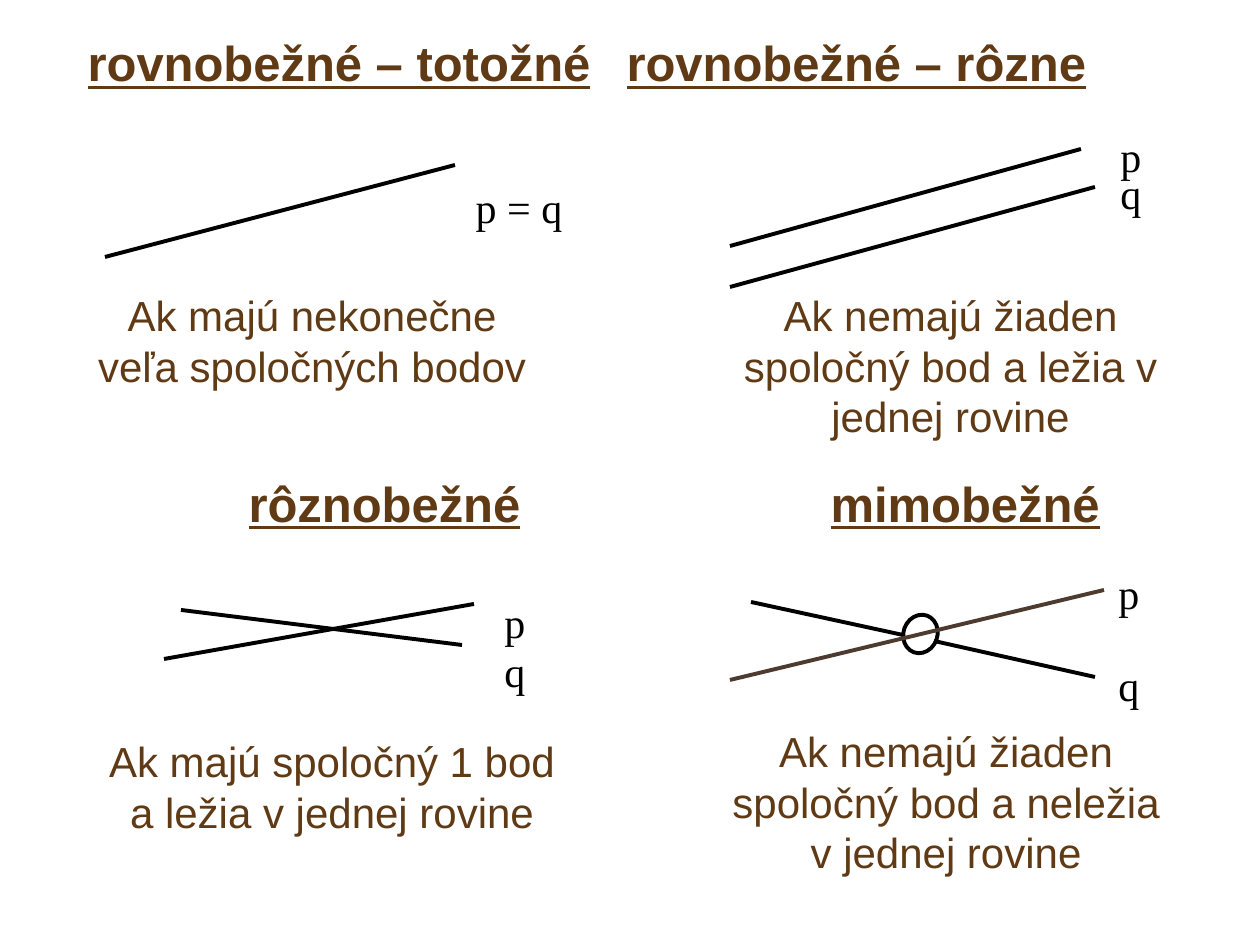
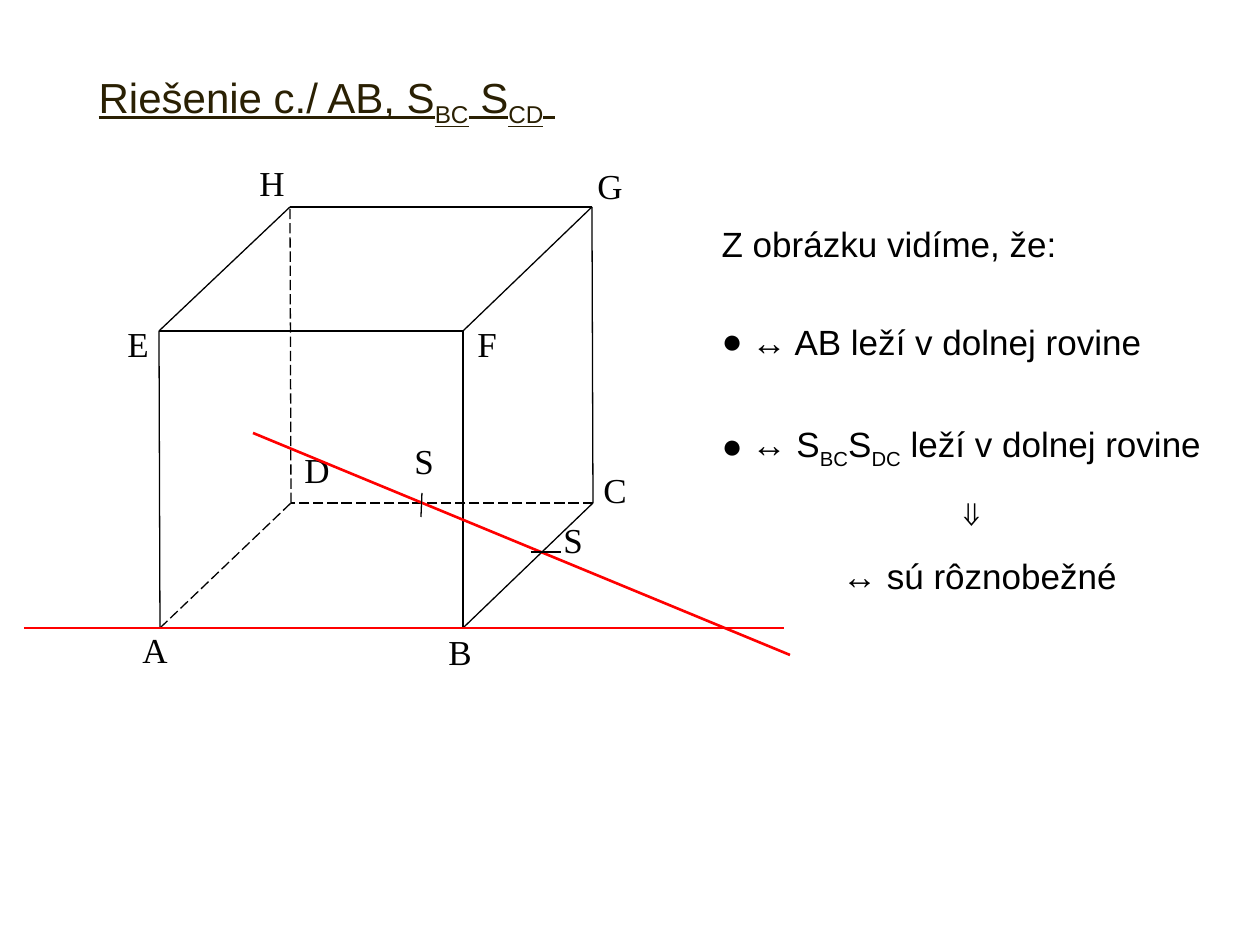
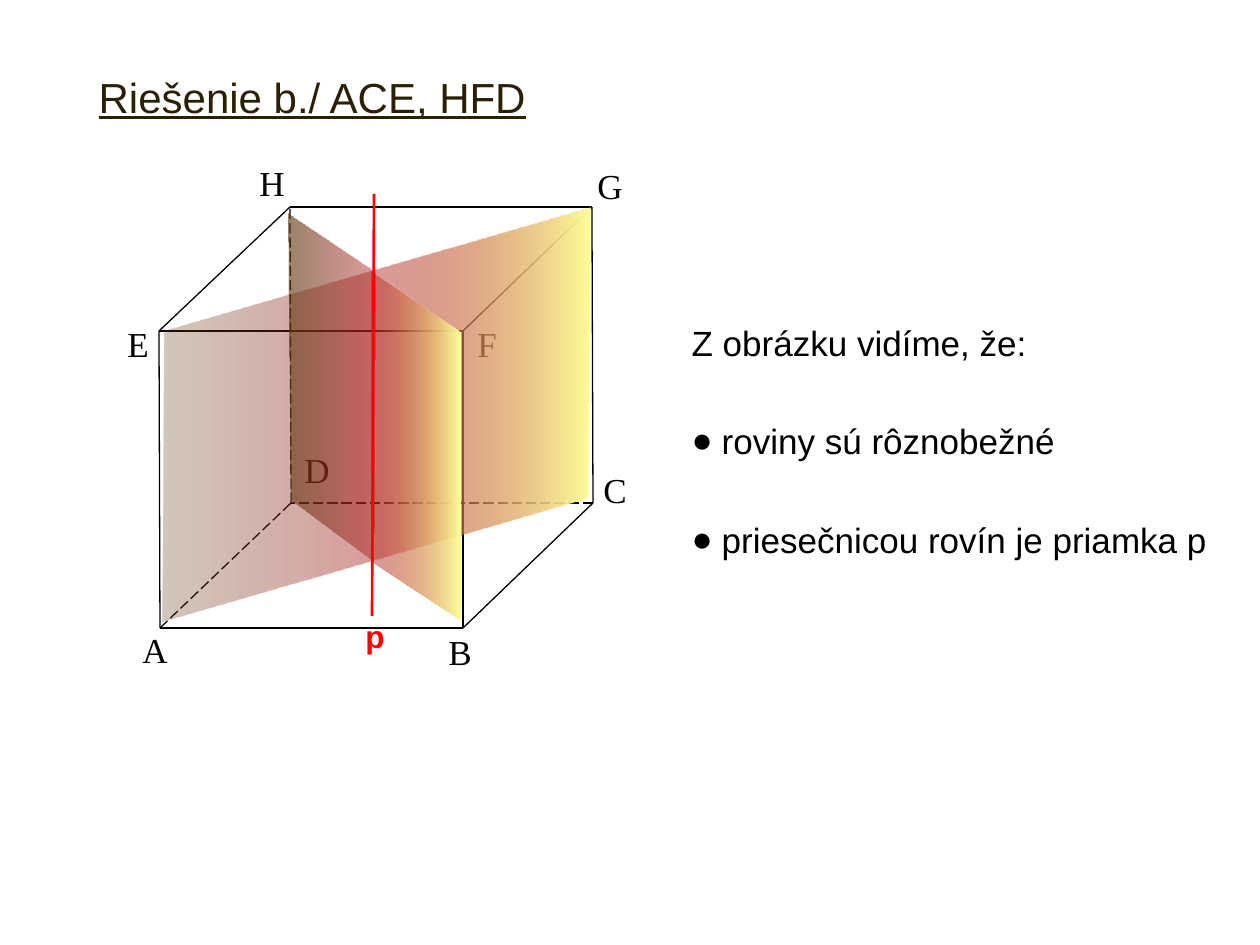
from lxml import etree
from pptx import Presentation
from pptx.dml.color import RGBColor
from pptx.enum.dml import MSO_LINE
from pptx.enum.shapes import MSO_CONNECTOR, MSO_SHAPE as Shape
from pptx.enum.text import MSO_ANCHOR as Anchor, MSO_AUTO_SIZE as AutoSize, PP_ALIGN as Align
from pptx.oxml.ns import qn
from pptx.util import Emu, Pt

PX = 914400 / 126
SANS, SERIF = "Arial", "Times New Roman"
BLACK = RGBColor(0x00, 0x00, 0x00)
BROWN = RGBColor(0x60, 0x3A, 0x14)
DARK_BROWN = RGBColor(0x4E, 0x3B, 0x30)
TITLE_COLOR = RGBColor(0x2A, 0x20, 0x03)
RED = RGBColor(0xFF, 0x00, 0x00)
DARK_RED = RGBColor(0xAD, 0x1F, 0x1F)
YELLOW = RGBColor(0xFF, 0xFF, 0x99)

TOP_INSET = 6
BULLET_INDENT = 30
ONE_CONTENT, TWO_CONTENTS = 1, 3

# Cube corners and edges shared by both solutions
CORNERS = {"A": (160, 628), "B": (463, 628), "C": (593, 503), "D": (291, 503),
           "E": (159, 331), "F": (463, 331), "G": (592, 207), "H": (290, 207)}
SOLID_EDGES = ["AB", "BC", "AE", "BF", "CG", "EF", "FG", "GH", "EH"]
HIDDEN_EDGES = ["AD", "CD", "DH"]
CORNER_LABELS = {"A": (130, 622), "B": (436, 624), "C": (591, 462), "D": (292, 442),
                 "E": (115, 316), "F": (465, 316), "G": (585, 158), "H": (247, 155)}


def px(value):
    return Emu(round(value * PX))


def place(shape, x, y, width, height):
    shape.left, shape.top, shape.width, shape.height = map(px, (x, y, width, height))


def set_frame(shape):
    """Wrap the text, start it at the top and return its frame."""
    frame = shape.text_frame
    frame.word_wrap = True
    frame.auto_size = AutoSize.NONE
    frame.vertical_anchor = Anchor.TOP
    frame.margin_top = px(TOP_INSET)
    return frame


def add_run(para, text, size, color, font=SANS, bold=False, underline=False, sub=False):
    span = para.add_run()
    span.text = text
    span.font.name, span.font.size = font, Pt(size)
    span.font.bold, span.font.underline = bold, underline
    span.font.color.rgb = color
    if sub:
        span._r.get_or_add_rPr().set("baseline", "-25000")


def format_para(para, margin=0, bullet=False, before=0, align=Align.LEFT):
    """Set the indent, bullet, spacing and alignment."""
    props = para._p.get_or_add_pPr()
    props.set("marL", str(px(margin)))
    props.set("indent", str(-px(margin) if bullet else 0))
    if bullet:
        etree.SubElement(props, qn("a:buFont"), typeface=SANS)
        etree.SubElement(props, qn("a:buChar"), char="●")
    else:
        etree.SubElement(props, qn("a:buNone"))
    para.space_before = Pt(before)
    para.alignment = align


def next_para(frame, index):
    return frame.add_paragraph() if index else frame.paragraphs[0]


def add_text(page, text, x, y, width, height, size, color=BLACK, font=SERIF,
             bold=False, align=Align.LEFT):
    box = page.shapes.add_textbox(*map(px, (x, y, width, height)))
    para = set_frame(box).paragraphs[0]
    para.alignment = align
    add_run(para, text, size, color, font, bold)


def add_line(page, start, end, color=BLACK, width=0.75, dash=None):
    line = page.shapes.add_connector(MSO_CONNECTOR.STRAIGHT, *map(px, (*start, *end)))
    line.line.color.rgb = color
    line.line.width = Pt(width)
    if dash:
        line.line.dash_style = dash
    etree.SubElement(line._element.spPr, qn("a:effectLst"))


def add_plane(page, points, stops):
    """Draw a polygon with a left-to-right gradient of (position, colour, opacity)."""
    start, *others = [tuple(map(px, point)) for point in points]
    builder = page.shapes.build_freeform(*start)
    builder.add_line_segments(others, close=True)
    plane = builder.convert_to_shape()
    plane.shadow.inherit = False
    plane.line.fill.background()
    plane.fill.gradient()
    plane.fill.gradient_angle = 0
    stop_list = plane._element.spPr.find(qn("a:gradFill")).find(qn("a:gsLst"))
    for old in list(stop_list):
        stop_list.remove(old)
    for position, color, opacity in stops:
        stop = etree.SubElement(stop_list, qn("a:gs"), pos=str(position * 1000))
        fill = etree.SubElement(stop, qn("a:srgbClr"), val=str(color))
        etree.SubElement(fill, qn("a:alpha"), val=str(opacity * 1000))


def add_page(deck, layout=ONE_CONTENT):
    return deck.slides.add_slide(deck.slide_layouts[layout])


def fill_title(page, parts):
    title = page.shapes.title
    place(title, 86, 65, 1149, 70)
    para = set_frame(title).paragraphs[0]
    para.alignment = Align.LEFT
    for text, sub in parts:
        add_run(para, text, 24, TITLE_COLOR, underline=True, sub=sub)


def fill_headings(body, x, width, headings):
    """Fill one column with (text, margin, space before) headings."""
    place(body, x, 27, width, 873)
    frame = set_frame(body)
    for index, (text, margin, before) in enumerate(headings):
        para = next_para(frame, index)
        format_para(para, margin=margin, before=before)
        add_run(para, text, 28, BROWN, bold=True, underline=True)


def fill_findings(page, x, y, width, height, findings):
    """Fill the body with (paragraph format, bold, run parts) findings."""
    body = page.placeholders[1]
    place(body, x, y, width, height)
    frame = set_frame(body)
    for index, (style, bold, parts) in enumerate(findings):
        para = next_para(frame, index)
        format_para(para, **style)
        para.line_spacing = 1.5
        for text, sub in parts:
            add_run(para, text, 20, BLACK, bold=bold, sub=sub)


def add_cube(page):
    for edges, dash in ((SOLID_EDGES, None), (HIDDEN_EDGES, MSO_LINE.LONG_DASH)):
        for start, end in edges:
            add_line(page, CORNERS[start], CORNERS[end], dash=dash)
    for letter, (x, y) in CORNER_LABELS.items():
        add_text(page, letter, x, y, 52, 54, 20)


def bullet_style(before):
    return dict(margin=BULLET_INDENT, bullet=True, before=before)


def build_line_positions(deck):
    page = add_page(deck, TWO_CONTENTS)
    title = page.shapes.title
    title._element.getparent().remove(title._element)

    # Headings in two columns
    fill_headings(page.placeholders[1], 63, 550,
                  [("rovnobežné – totožné", 12, 0), ("rôznobežné", 173, 218)])
    fill_headings(page.placeholders[2], 614, 610,
                  [("rovnobežné – rôzne", 0, 0), ("mimobežné", 204, 218)])

    # Ring where the skew lines pass each other
    ring = page.shapes.add_shape(Shape.OVAL, *map(px, (901, 617, 39, 34)))
    ring.rotation = 289.6
    ring.shadow.inherit = False
    ring.fill.background()
    ring.line.color.rgb = BLACK
    ring.line.width = Pt(2.25)

    # Line pairs and their names
    lines = [((105, 257), (455, 165)),
             ((730, 246), (1081, 149)), ((730, 287), (1095, 187)),
             ((164, 659), (474, 604)), ((181, 610), (462, 645)),
             ((934, 641), (1095, 677)), ((903, 635), (751, 602))]
    for start, end in lines:
        add_line(page, start, end, width=2.25)
    add_line(page, (730, 680), (1104, 590), DARK_BROWN, 2.25)
    add_text(page, "p = q", 461, 176, 116, 63, 24, align=Align.CENTER)
    for name, x, y in [("p", 1108, 125), ("q", 1108, 162), ("p", 492, 591),
                       ("q", 492, 640), ("p", 1106, 562), ("q", 1106, 654)]:
        add_text(page, name, x, y, 42, 63, 24)

    # Explanations
    captions = [("Ak majú nekonečne veľa spoločných bodov", 74, 284, 476, 115),
                ("Ak nemajú žiaden spoločný bod a ležia v jednej rovine", 689, 284, 523, 165),
                ("Ak majú spoločný 1 bod a ležia v jednej rovine", 94, 730, 476, 115),
                ("Ak nemajú žiaden spoločný bod a neležia v jednej rovine", 709, 720, 474, 165)]
    for caption in captions:
        add_text(page, *caption, 24, BROWN, SANS, align=Align.CENTER)


def build_midpoint_solution(deck):
    page = add_page(deck)
    fill_title(page, [("Riešenie c./ AB, S", False), ("BC", True), (" S", False),
                      ("CD", True), (" ", False)])
    add_cube(page)
    fill_findings(page, 709, 195, 525, 445, [
        ({}, False, [("Z obrázku vidíme, že:", False)]),
        (bullet_style(20), False, [("↔ AB leží v dolnej rovine", False)]),
        (bullet_style(21), False, [("↔ S", False), ("BC", True), ("S", False),
                                   ("DC", True), (" leží v dolnej rovine", False)]),
        (dict(align=Align.CENTER), True, [("⇓", False)]),
        (dict(margin=16, align=Align.CENTER), False, [("↔ sú rôznobežné", False)]),
    ])

    # Intersecting lines
    add_line(page, (253, 433), (790, 655), RED, 1.5)
    add_line(page, (24, 628), (784, 628), RED, 1.5)

    # Midpoint marks
    add_line(page, (531, 552), (561, 552))
    add_line(page, (421, 517), (422, 493))
    add_text(page, "S", 551, 512, 52, 54, 20)
    add_text(page, "S", 402, 433, 52, 54, 20)


def build_plane_solution(deck):
    page = add_page(deck)
    fill_title(page, [("Riešenie b./ ACE, HFD", False)])
    add_cube(page)
    fill_findings(page, 679, 294, 556, 318, [
        ({}, False, [("Z obrázku vidíme, že:", False)]),
        (bullet_style(20), False, [("roviny sú rôznobežné", False)]),
        (bullet_style(21), False, [("priesečnicou rovín je priamka p", False)]),
    ])

    # Plane ACE, then the front and back halves of plane HFD
    add_plane(page, [(163, 621), (588, 498), (591, 208), (165, 331)],
              [(0, BROWN, 28), (50, DARK_RED, 44), (100, YELLOW, 100)])
    add_plane(page, [(372, 272), (461, 333), (461, 621), (372, 562)],
              [(0, DARK_RED, 44), (100, YELLOW, 100)])
    add_plane(page, [(289, 214), (375, 273), (373, 562), (291, 500)],
              [(0, BROWN, 63), (100, DARK_RED, 44)])

    # Line of intersection
    add_line(page, (374, 194), (372, 616), RED, 1.5)
    add_text(page, "p", 353, 611, 49, 50, 18, RED, SANS, bold=True)


def main():
    deck = Presentation()
    deck.slide_width, deck.slide_height = px(1260), px(945)
    build_line_positions(deck)
    build_midpoint_solution(deck)
    build_plane_solution(deck)
    deck.save("out.pptx")


if __name__ == "__main__":
    main()
